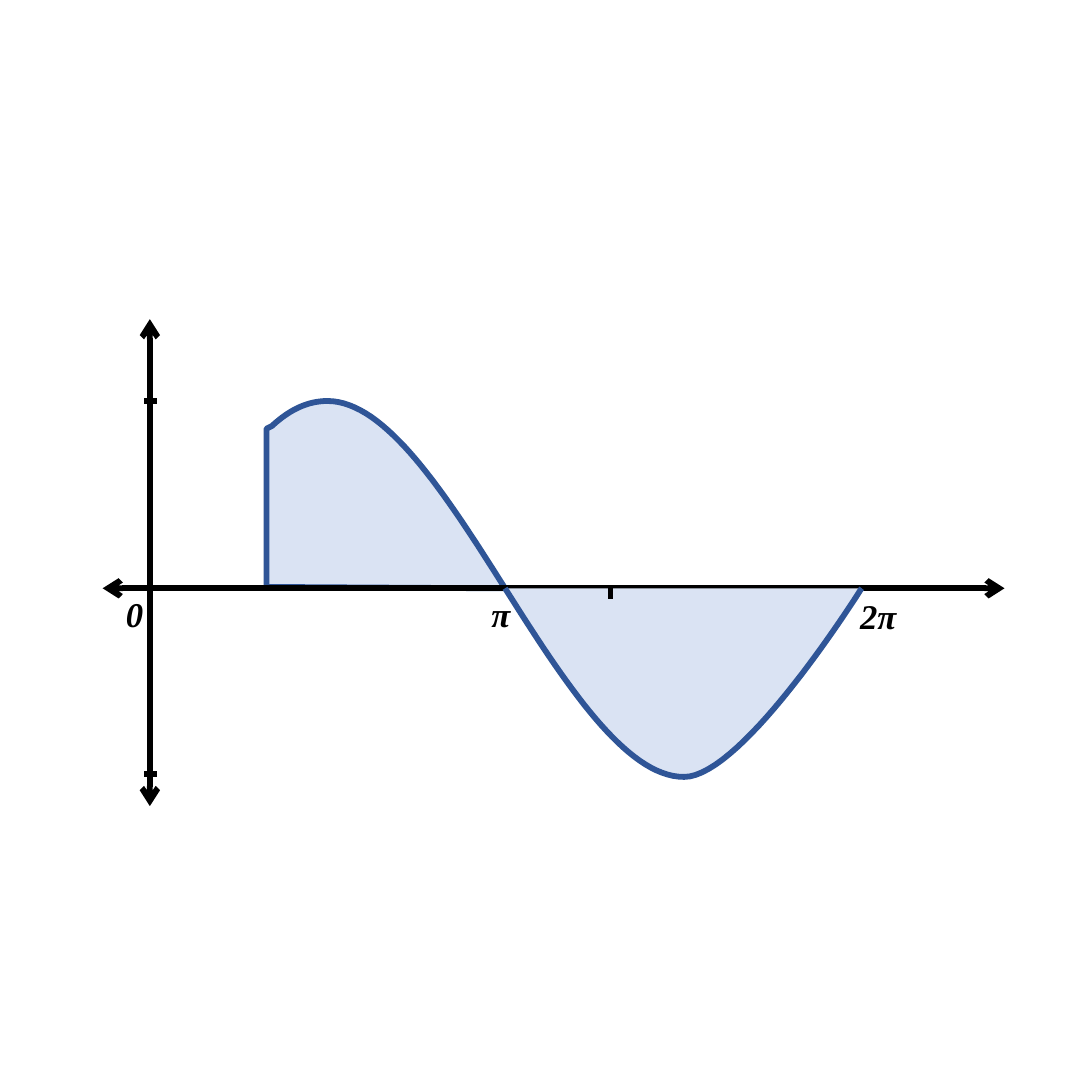
import pptx
import pptx.dml.color
import pptx.enum.shapes
import pptx.enum.text
import pptx.oxml.ns
import pptx.util
from lxml import etree

Inches = pptx.util.Inches
Pt = pptx.util.Pt
qn = pptx.oxml.ns.qn

COLORS = {"axis": "000000", "curve": "2F5597", "area": "DAE3F3"}
FONT = "Times New Roman"
ORIGIN = (1.08, 4.24)
CURVE_STEPS = 32

# Offsets in inches from the origin of the axes
PI_X = 2.56
LEFT_X = 0.84
PEAK = (1.28, -1.35)
HUMP_FALL = (PEAK, (1.7, -1.35), (2.13, -0.68), (PI_X, 0))
HUMP_RISE = ((0.88, -1.17), (1.01, -1.29), (1.14, -1.35), PEAK)
TROUGH_FALL = ((PI_X, 0), (2.99, 0.68), (3.43, 1.36), (3.85, 1.36))
TROUGH_RISE = ((3.85, 1.36), (4.28, 1.36), (5.13, 0), (5.13, 0))
LABELS = (("2π", 4.98, 0), ("π", 2.26, -0.02), ("0", -0.38, -0.02))


def color(name):
    return pptx.dml.color.RGBColor.from_string(COLORS[name])


def bezier(p0, p1, p2, p3):
    """Return evenly stepped points on a cubic Bézier curve."""
    points = []
    for step in range(CURVE_STEPS + 1):
        t = step / CURVE_STEPS
        weights = ((1 - t) ** 3, 3 * t * (1 - t) ** 2, 3 * t * t * (1 - t), t ** 3)
        points.append(tuple(
            sum(weight * value for weight, value in zip(weights, values))
            for values in zip(p0, p1, p2, p3)
        ))
    return points


def add_line(slide, origin, start, end, arrows=False):
    x, y = origin
    connector = slide.shapes.add_connector(
        pptx.enum.shapes.MSO_CONNECTOR.STRAIGHT,
        Inches(x + start[0]), Inches(y + start[1]),
        Inches(x + end[0]), Inches(y + end[1]),
    )
    connector.line.color.rgb = color("axis")
    connector.line.width = Pt(3)
    properties = connector._element.spPr
    if arrows:
        line = properties.find(qn("a:ln"))
        for end_tag in ("a:headEnd", "a:tailEnd"):
            etree.SubElement(line, qn(end_tag), type="arrow")
    etree.SubElement(properties, qn("a:effectLst"))


def add_area(slide, origin, points, close):
    x, y = origin
    vertices = [(Inches(x + dx), Inches(y + dy)) for dx, dy in points]
    builder = slide.shapes.build_freeform(*vertices[0])
    builder.add_line_segments(vertices[1:], close=close)
    area = builder.convert_to_shape()
    area.shadow.inherit = False
    area.fill.solid()
    area.fill.fore_color.rgb = color("area")
    area.line.color.rgb = color("curve")
    area.line.width = Pt(3)


def add_label(slide, origin, text, dx, dy):
    box = slide.shapes.add_textbox(
        Inches(origin[0] + dx), Inches(origin[1] + dy), Inches(0.54), Inches(0.4)
    )
    frame = box.text_frame
    frame.word_wrap = True
    frame.auto_size = pptx.enum.text.MSO_AUTO_SIZE.SHAPE_TO_FIT_TEXT
    paragraph = frame.paragraphs[0]
    paragraph.alignment = pptx.enum.text.PP_ALIGN.CENTER
    run = paragraph.add_run()
    run.text = text
    run.font.name = FONT
    run.font.size = Pt(18)
    run.font.bold = True
    run.font.italic = True
    run.font.color.rgb = color("axis")


def draw_sine_plot(slide, origin):
    add_line(slide, origin, (0, 1.57), (0, -1.94), arrows=True)
    hump = bezier(*HUMP_FALL) + [(LEFT_X, -0.01), (LEFT_X, -1.15)] + bezier(*HUMP_RISE)
    add_area(slide, origin, hump, close=True)
    add_line(slide, origin, (6.16, 0), (-0.34, 0), arrows=True)
    for text, dx, dy in LABELS:
        add_label(slide, origin, text, dx, dy)
    for tick_y in (-1.35, 1.34):
        add_line(slide, origin, (-0.04, tick_y), (0.05, tick_y))
    trough = bezier(*TROUGH_FALL) + bezier(*TROUGH_RISE)[1:]
    add_area(slide, origin, trough, close=False)
    add_line(slide, origin, (3.32, -0.02), (3.32, 0.08))


def main():
    presentation = pptx.Presentation()
    presentation.slide_width = Inches(7.87)
    presentation.slide_height = Inches(7.87)
    slide = presentation.slides.add_slide(presentation.slide_layouts[6])
    draw_sine_plot(slide, ORIGIN)
    presentation.save("out.pptx")


if __name__ == "__main__":
    main()
